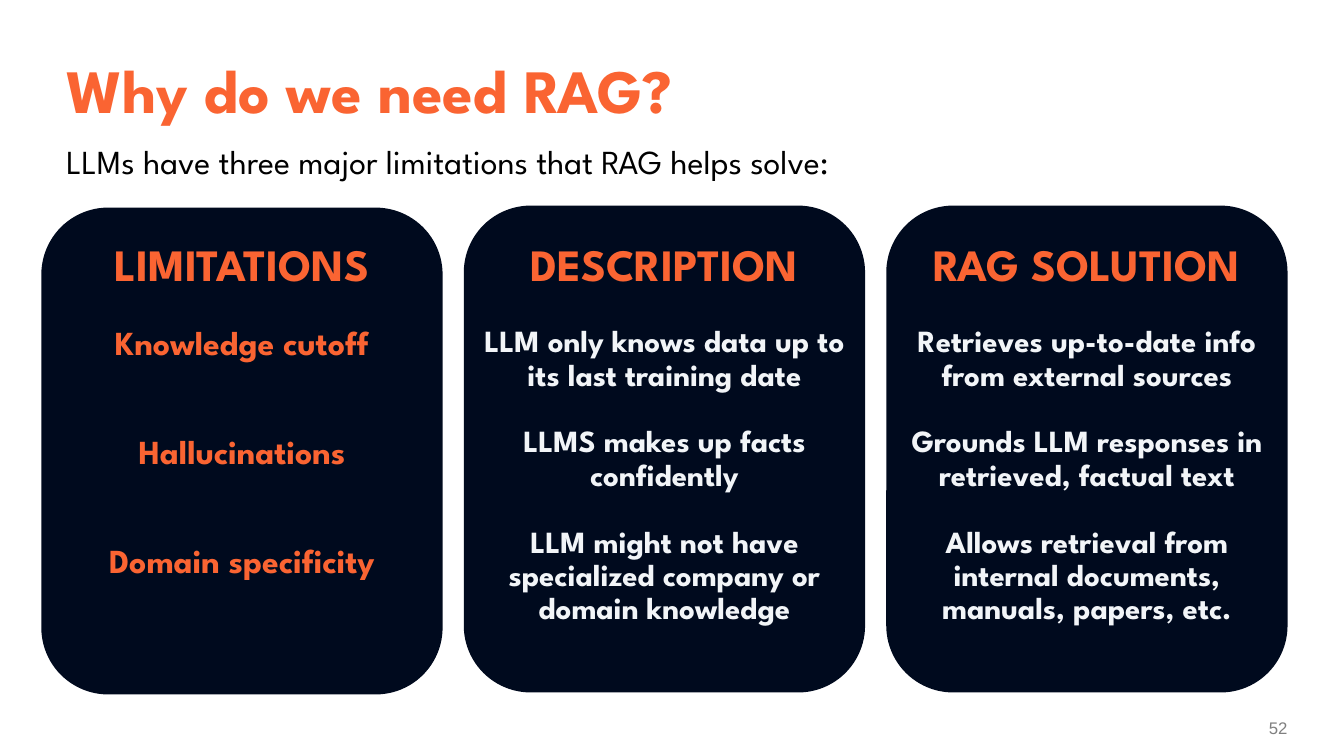
from dataclasses import dataclass

from pptx import Presentation
from pptx.dml.color import RGBColor
from pptx.enum.shapes import MSO_SHAPE
from pptx.enum.text import MSO_ANCHOR as Anchor, PP_ALIGN as Align
from pptx.util import Inches, Pt


@dataclass(frozen=True)
class Theme:
    font: str = "League Spartan"
    number_font: str = "Arial"
    orange: str = "FA6432"
    navy: str = "000A1E"
    pale: str = "F2F5F8"
    black: str = "000000"
    gray: str = "808080"
    title: int = 44
    heading: int = 32
    large: int = 24
    body: int = 22
    number: int = 12


THEME = Theme()

# Card geometry
CARD_LEFT, CARD_STEP = 0.41, 4.19
CARD_WIDTH, CARD_HEIGHT = 3.98, 4.83
TEXT_TOP, TEXT_HEIGHT = 2.36, 4.35
HEADING_GAP = 25

# Heading, items, item size, item colour, gap between items in points, card top
CARDS = [
    ("LIMITATIONS",
     ["Knowledge cutoff", "Hallucinations", "Domain specificity"],
     THEME.large, THEME.orange, 52, 2.06),
    ("DESCRIPTION",
     ["LLM only knows data up to its last training date",
      "LLMS makes up facts confidently",
      "LLM might not have specialized company or domain knowledge"],
     THEME.body, THEME.pale, 24, 2.04),
    ("RAG SOLUTION",
     ["Retrieves up-to-date info from external sources",
      "Grounds LLM responses in retrieved, factual text",
      "Allows retrieval from internal documents, manuals, papers, etc."],
     THEME.body, THEME.pale, 24, 2.04),
]


def add_text_box(slide, left, top, width, height, anchor=Anchor.TOP):
    box = slide.shapes.add_textbox(Inches(left), Inches(top), Inches(width), Inches(height))
    frame = box.text_frame
    frame.word_wrap = True
    frame.vertical_anchor = anchor
    return frame


def write(paragraph, text, size, color, bold=False, align=Align.LEFT,
          font=THEME.font, line_spacing=0.9):
    paragraph.text = text
    paragraph.alignment = align
    paragraph.line_spacing = line_spacing
    run_font = paragraph.runs[0].font
    run_font.name = font
    run_font.size = Pt(size)
    run_font.bold = bold
    run_font.color.rgb = RGBColor.from_string(color)


def add_card(slide, left, heading, items, size, color, gap, top):
    # Rounded panel
    panel = slide.shapes.add_shape(
        MSO_SHAPE.ROUNDED_RECTANGLE, Inches(left), Inches(top),
        Inches(CARD_WIDTH), Inches(CARD_HEIGHT))
    panel.shadow.inherit = False
    panel.fill.solid()
    panel.fill.fore_color.rgb = RGBColor.from_string(THEME.navy)
    panel.line.fill.background()

    # Heading and items
    frame = add_text_box(slide, left, TEXT_TOP, CARD_WIDTH, TEXT_HEIGHT)
    write(frame.paragraphs[0], heading, THEME.heading, THEME.orange, True, Align.CENTER)
    for index, item in enumerate(items):
        paragraph = frame.add_paragraph()
        write(paragraph, item, size, color, True, Align.CENTER)
        paragraph.space_before = Pt(gap if index else HEADING_GAP)


def main():
    presentation = Presentation()
    presentation.slide_width = Inches(13.33)
    presentation.slide_height = Inches(7.5)
    slide = presentation.slides.add_slide(presentation.slide_layouts[6])

    # Title and introduction
    title = add_text_box(slide, 0.56, 0.33, 12.2, 1.22, Anchor.MIDDLE)
    write(title.paragraphs[0], "Why do we need RAG?", THEME.title, THEME.orange,
          bold=True, line_spacing=0.85)
    introduction = add_text_box(slide, 0.56, 1.39, 12.2, 0.55)
    write(introduction.paragraphs[0],
          "LLMs have three major limitations that RAG helps solve:",
          THEME.large, THEME.black)

    # Three cards
    for index, card in enumerate(CARDS):
        add_card(slide, CARD_LEFT + index * CARD_STEP, *card)

    # Slide number
    number = add_text_box(slide, 12.1, 7.07, 0.67, 0.3, Anchor.MIDDLE)
    number.margin_right = 0
    write(number.paragraphs[0], "52", THEME.number, THEME.gray, align=Align.RIGHT,
          font=THEME.number_font, line_spacing=1.0)

    presentation.save("out.pptx")


if __name__ == "__main__":
    main()
